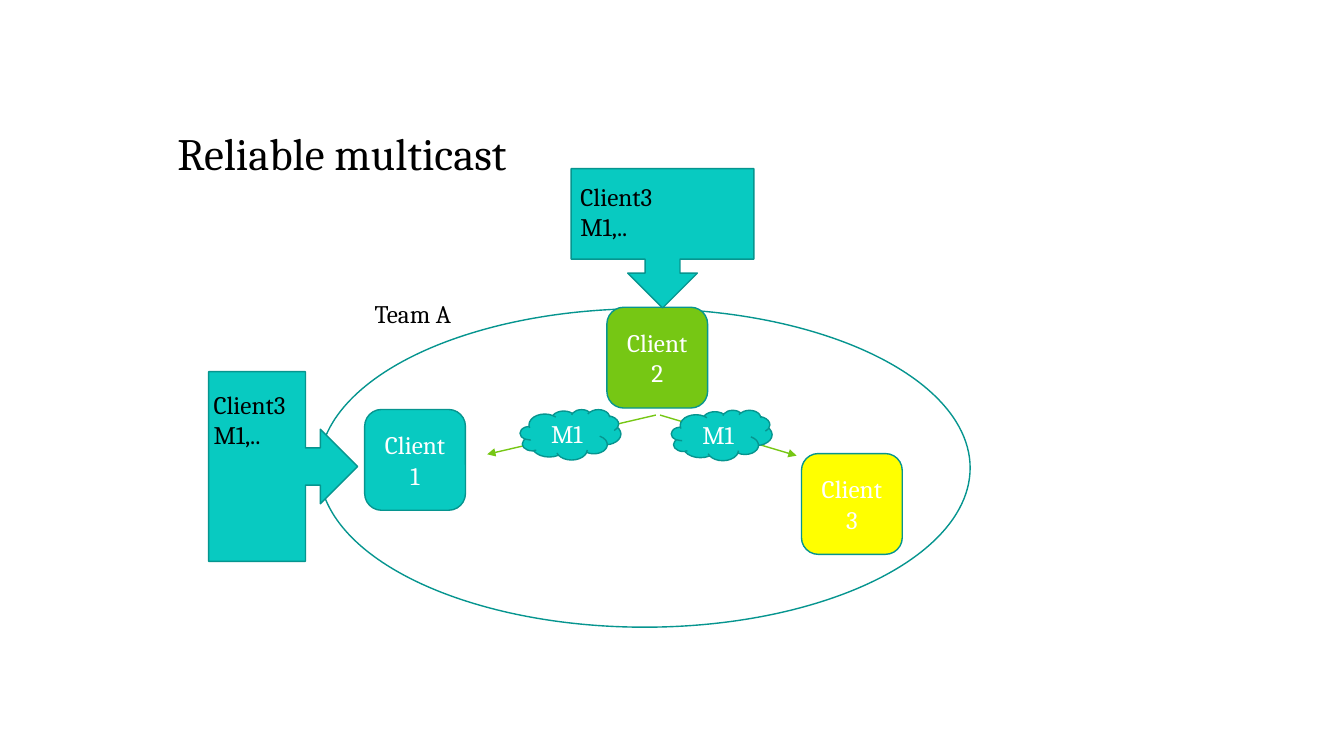
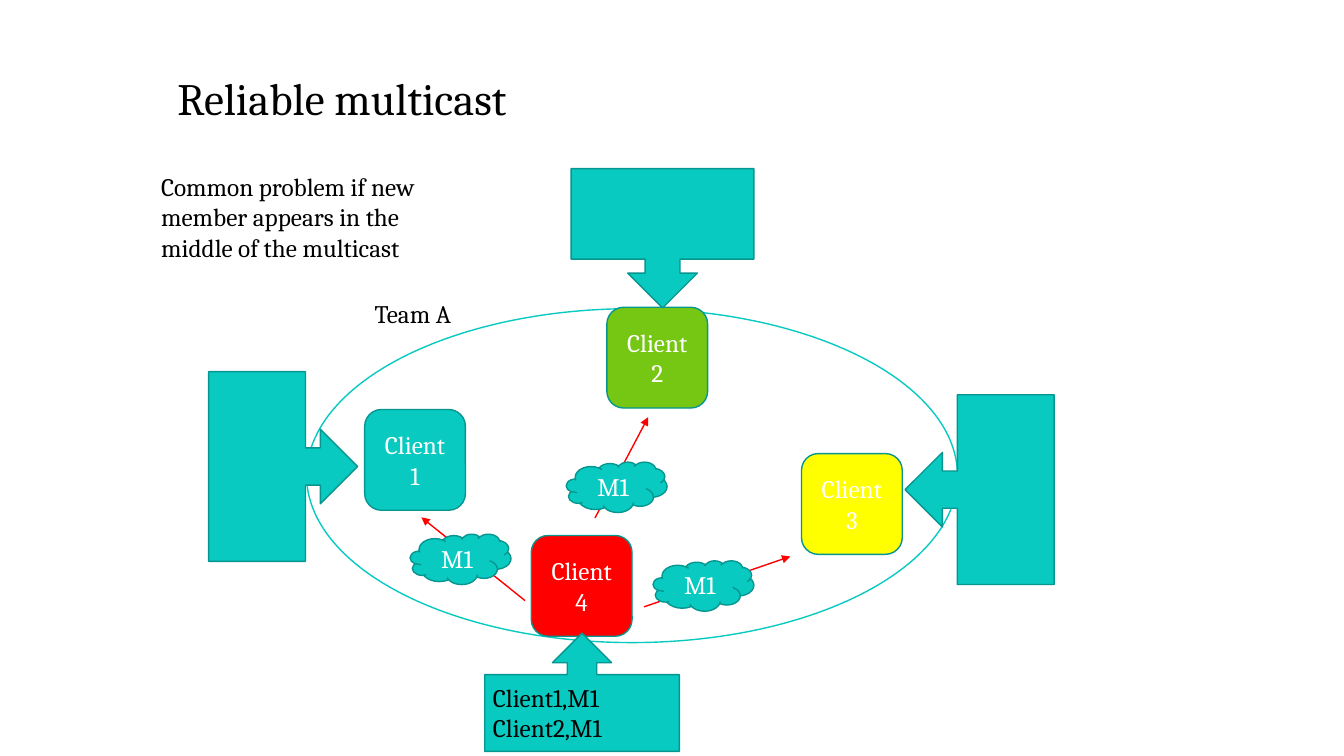
import dataclasses
import typing

import lxml.etree
import pptx
import pptx.dml.color
import pptx.enum.shapes
import pptx.enum.text
import pptx.oxml.ns
import pptx.util

Pt = pptx.util.Pt
qn = pptx.oxml.ns.qn
Kind = pptx.enum.shapes.MSO_SHAPE
Align = pptx.enum.text.PP_ALIGN
Anchor = pptx.enum.text.MSO_ANCHOR
Point = tuple[float, float]

# Shared look
FONT = "Cambria"
HUES = {"teal": "08CAC1", "edge": "06958F", "green": "76C714",
        "yellow": "FFFF00", "red": "FF0000", "white": "FFFFFF", "black": "000000"}
SIDE = 72
CLOUD = (72, 36)


class Box(typing.NamedTuple):
    left: float
    top: float
    wide: float
    high: float


@dataclasses.dataclass(frozen=True)
class Client:
    text: str
    spot: Point
    hue: str


@dataclasses.dataclass(frozen=True)
class Message:
    start: Point
    end: Point
    cloud: Point
    hue: str


@dataclasses.dataclass(frozen=True)
class Callout:
    box: Box
    turn: int = 0


@dataclasses.dataclass(frozen=True)
class Label:
    box: Box
    text: str


@dataclasses.dataclass(frozen=True)
class Scene:
    title: Box
    team: Box
    rim: str
    clients: list[Client]
    messages: list[Message]
    callouts: list[Callout]
    labels: list[Label]


# Parts found on both slides
TITLE = "Reliable multicast"
CLIENTS = [
    Client("Client 3", (572.5, 324), "yellow"),
    Client("Client 2", (433.5, 219.5), "green"),
    Client("Client 1", (260.5, 292.5), "teal"),
]
CALLOUTS = [
    Callout(Box(149, 265.5, 106.5, 135.5)),
    Callout(Box(423.5, 105, 99.5, 130.5), 90),
]
TEAM = Label(Box(260.5, 209.5, 216, 29), "Team A")

SCENES = [
    Scene(
        title=Box(119.5, 42, 756, 90),
        team=Box(228, 220.5, 465, 227.5),
        rim="edge",
        clients=CLIENTS,
        messages=[
            Message((468.5, 296.5), (348, 324.5), (371.5, 292.5), "green"),
            Message((471.5, 296.5), (569, 325.5), (479.5, 293), "green"),
        ],
        callouts=CALLOUTS,
        labels=[
            TEAM,
            Label(Box(407.5, 126, 130.5, 73), "Client3\nM1,.."),
            Label(Box(145.5, 274.5, 77, 73), "Client3\nM1,.."),
        ],
    ),
    Scene(
        title=Box(119.5, 42, 756, 51),
        team=Box(219, 220.5, 465, 238.5),
        rim="teal",
        clients=CLIENTS + [Client("Client 4", (379.5, 382.5), "red")],
        messages=[
            Message((425, 370), (463, 298), (404.5, 330), "red"),
            Message((460, 433.5), (564.5, 397.5), (466.5, 400.5), "red"),
            Message((375, 429), (301, 369.5), (293, 381.5), "red"),
        ],
        callouts=CALLOUTS + [
            Callout(Box(646.5, 282, 106.5, 135.5), 180),
            Callout(Box(373.5, 425, 84.5, 139), 270),
        ],
        labels=[
            TEAM,
            Label(Box(108, 119, 216, 73),
                  "Common problem if new member appears in the middle of the multicast"),
            Label(Box(345, 484, 152.5, 52), "Client1,M1\nClient2,M1"),
        ],
    ),
]


def tint(name: str) -> pptx.dml.color.RGBColor:
    return pptx.dml.color.RGBColor.from_string(HUES[name])


def lengths(box: Box) -> list[pptx.util.Length]:
    return [Pt(size) for size in box]


def write(frame, text: str, hue: str, align: Align, size: int = 18) -> None:
    frame.word_wrap = True
    frame.text = text
    for para in frame.paragraphs:
        para.alignment = align
        for run in para.runs:
            run.font.name = FONT
            run.font.size = Pt(size)
            run.font.color.rgb = tint(hue)


def draw_shape(slide, kind: Kind, box: Box, fill: str, text: str = "",
               rim: str = "edge", turn: int = 0) -> None:
    shape = slide.shapes.add_shape(kind, *lengths(box))
    shape.shadow.inherit = False
    shape.rotation = turn
    shape.fill.solid()
    shape.fill.fore_color.rgb = tint(fill)
    shape.line.color.rgb = tint(rim)
    shape.line.width = Pt(1)
    if text:
        shape.text_frame.vertical_anchor = Anchor.MIDDLE
        write(shape.text_frame, text, "white", Align.CENTER)


def draw_message(slide, note: Message) -> None:
    ends = [Pt(size) for size in note.start + note.end]
    line = slide.shapes.add_connector(pptx.enum.shapes.MSO_CONNECTOR.STRAIGHT, *ends)
    line.line.color.rgb = tint(note.hue)
    line.line.width = Pt(1)
    props = line._element.spPr
    lxml.etree.SubElement(props.find(qn("a:ln")), qn("a:tailEnd"), type="triangle")
    lxml.etree.SubElement(props, qn("a:effectLst"))
    draw_shape(slide, Kind.CLOUD, Box(*note.cloud, *CLOUD), "teal", "M1")


def draw_label(slide, label: Label) -> None:
    area = slide.shapes.add_textbox(*lengths(label.box))
    write(area.text_frame, label.text, "black", Align.LEFT)


def draw_title(slide, box: Box) -> None:
    title = slide.shapes.title
    title.left, title.top, title.width, title.height = lengths(box)
    frame = title.text_frame
    frame.auto_size = pptx.enum.text.MSO_AUTO_SIZE.NONE
    frame.vertical_anchor = Anchor.BOTTOM
    write(frame, TITLE, "black", Align.LEFT, 32)
    frame.paragraphs[0].line_spacing = 0.9


def draw_scene(slide, scene: Scene) -> None:
    draw_title(slide, scene.title)
    draw_shape(slide, Kind.OVAL, scene.team, "white", rim=scene.rim)
    for client in scene.clients:
        draw_shape(slide, Kind.ROUNDED_RECTANGLE, Box(*client.spot, SIDE, SIDE),
                   client.hue, client.text)
    for note in scene.messages:
        draw_message(slide, note)
    for call in scene.callouts:
        draw_shape(slide, Kind.RIGHT_ARROW_CALLOUT, call.box, "teal", turn=call.turn)
    for label in scene.labels:
        draw_label(slide, label)


def main() -> None:
    deck = pptx.Presentation()
    deck.slide_width, deck.slide_height = Pt(960), Pt(540)
    for scene in SCENES:
        draw_scene(deck.slides.add_slide(deck.slide_layouts[5]), scene)
    deck.save("out.pptx")


if __name__ == "__main__":
    main()
